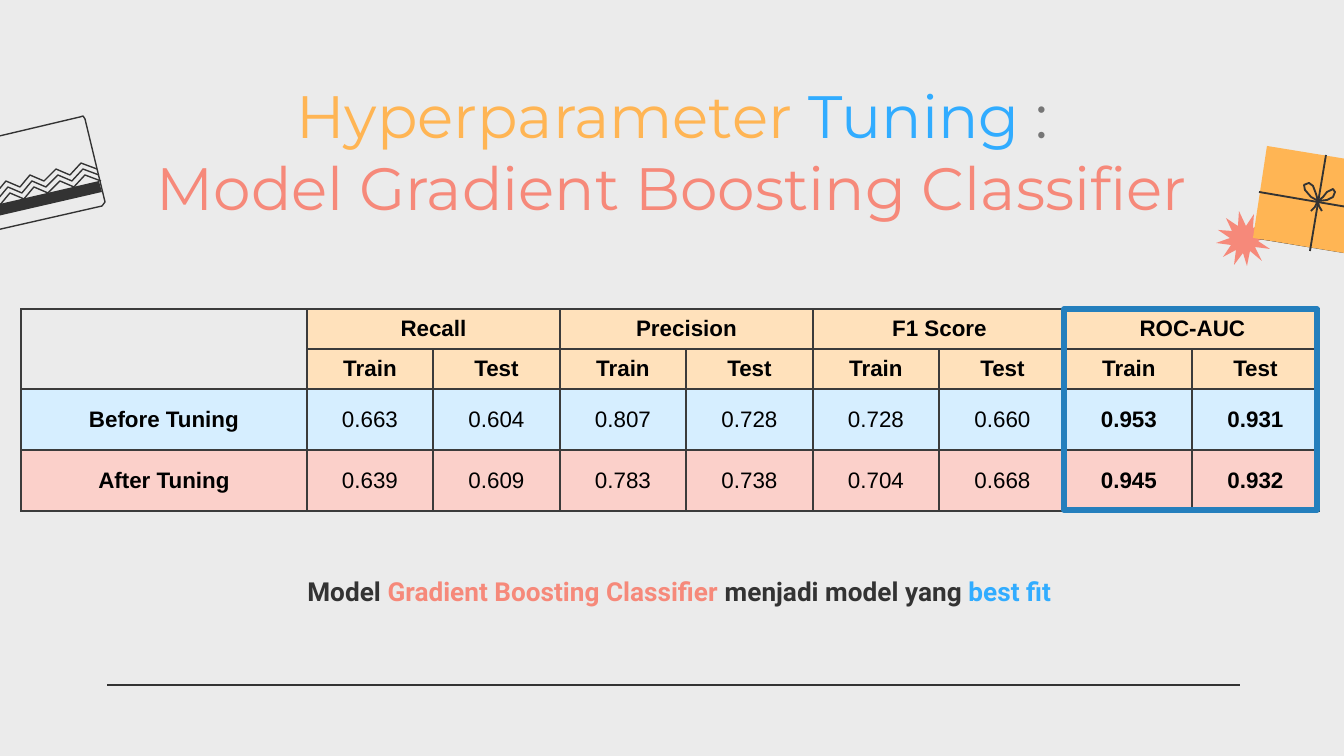
"""Build the hyperparameter tuning slide with its score table."""
from dataclasses import dataclass

from lxml.etree import SubElement
from pptx import Presentation
from pptx.dml.color import RGBColor
from pptx.enum.shapes import MSO_CONNECTOR, MSO_SHAPE
from pptx.enum.text import MSO_ANCHOR, MSO_AUTO_SIZE, PP_ALIGN
from pptx.oxml.ns import qn
from pptx.util import Pt

PX = 914400 / 134.4


@dataclass(frozen=True)
class Theme:
    back: str = "EBEBEB"
    ink: str = "333333"
    black: str = "000000"
    border: str = "3B3B3B"
    grey: str = "767676"
    orange: str = "FFB554"
    blue: str = "31ACFF"
    coral: str = "F6897A"
    frame: str = "247FBD"
    header: str = "FFE1BB"
    before: str = "D6EEFF"
    after: str = "FBD0CA"
    title: int = 32
    body: int = 14
    cell: int = 12


T = Theme()
rgb = RGBColor.from_string


def outline(shapes, points, fill=None, line=None, width=0.75, close=True):
    fb = shapes.build_freeform(*points[0], scale=PX)
    fb.add_line_segments(points[1:], close=close)
    sp = fb.convert_to_shape()
    sp.shadow.inherit = False
    if fill:
        sp.fill.solid()
        sp.fill.fore_color.rgb = rgb(fill)
    else:
        sp.fill.background()
    if line:
        sp.line.color.rgb = rgb(line)
        sp.line.width = Pt(width)
    else:
        sp.line.fill.background()


def connect(shapes, x1, y1, x2, y2, width):
    ends = [round(v * PX) for v in (x1, y1, x2, y2)]
    cn = shapes.add_connector(MSO_CONNECTOR.STRAIGHT, *ends)
    cn.line.color.rgb = rgb(T.ink)
    cn.line.width = Pt(width)
    SubElement(cn._element.spPr, qn("a:effectLst"))


prs = Presentation()
prs.slide_width, prs.slide_height = round(1344 * PX), round(756 * PX)
s = prs.slides.add_slide(prs.slide_layouts[0])
s.background.fill.solid()
s.background.fill.fore_color.rgb = rgb(T.back)

connect(s.shapes, 1240, 685, 107, 685, 0.75)

texts = [
    (s.shapes.title, 66, 85, "Montserrat", T.title, False,
     [("Hyperparameter ", T.orange), ("Tuning ", T.blue), (":", T.grey), None,
      ("Model Gradient Boosting Classifier", T.coral)]),
    (s.placeholders[1], 562, 62, "Roboto", T.body, True,
     [("Model ", T.ink), ("Gradient Boosting Classifier ", T.coral),
      ("menjadi model yang ", T.ink), ("best fit ", T.blue)]),
]
for sp, y, h, face, size, bold, runs in texts:
    sp.left, sp.top, sp.width, sp.height = [round(v * PX) for v in (106, y, 1133, h)]
    tf = sp.text_frame
    tf.word_wrap = True
    tf.auto_size = MSO_AUTO_SIZE.NONE
    tf.vertical_anchor = MSO_ANCHOR.TOP
    tf.margin_left = tf.margin_right = tf.margin_top = tf.margin_bottom = round(13 * PX)
    p = tf.paragraphs[0]
    p.alignment = PP_ALIGN.CENTER
    p.space_before = Pt(0)
    p.font.name, p.font.size, p.font.bold = face, Pt(size), bold
    for run in runs:
        if run is None:
            p.add_line_break()
            continue
        r = p.add_run()
        r.text = run[0]
        r.font.color.rgb = rgb(run[1])
pPr = s.placeholders[1].text_frame.paragraphs[0]._p.get_or_add_pPr()
pPr.set("marL", str(round(67 * PX)))
pPr.set("indent", str(round(-47 * PX)))

metrics = ["Recall", "Precision", "F1 Score", "ROC-AUC"]
rows = [
    [""] + [text for m in metrics for text in (m, "")],
    [""] + ["Train", "Test"] * len(metrics),
    ["Before Tuning", "0.663", "0.604", "0.807", "0.728", "0.728", "0.660", "0.953", "0.931"],
    ["After Tuning", "0.639", "0.609", "0.783", "0.738", "0.704", "0.668", "0.945", "0.932"],
]
fills = [T.header, T.header, T.before, T.after]
widths = [286] + [126, 127] * len(metrics)
heights = [40, 40, 61, 61]
box = [round(v * PX) for v in (21, 309, sum(widths), sum(heights))]
table = s.shapes.add_table(len(rows), len(widths), *box).table
table.first_row = table.horz_banding = False
for col, w in zip(table.columns, widths):
    col.width = round(w * PX)
for row, h in zip(table.rows, heights):
    row.height = round(h * PX)
for i, values in enumerate(rows):
    for j, text in enumerate(values):
        cell = table.cell(i, j)
        tcPr = cell._tc.get_or_add_tcPr()
        for side in ("lnL", "lnR", "lnT", "lnB"):
            ln = SubElement(tcPr, qn(f"a:{side}"), w=str(Pt(1)))
            SubElement(SubElement(ln, qn("a:solidFill")), qn("a:srgbClr"), val=T.border)
        if i < 2 and j == 0:
            cell.fill.background()
        else:
            cell.fill.solid()
            cell.fill.fore_color.rgb = rgb(fills[i])
        cell.vertical_anchor = MSO_ANCHOR.MIDDLE
        cell.text = text
        p = cell.text_frame.paragraphs[0]
        p.alignment = PP_ALIGN.CENTER
        p.font.name, p.font.size = "Arial", Pt(T.cell)
        p.font.bold = i < 2 or j == 0 or j > 6
        p.font.color.rgb = rgb(T.black)
table.cell(0, 0).merge(table.cell(1, 0))
for j in range(1, len(widths), 2):
    table.cell(0, j).merge(table.cell(0, j + 1))

card = s.shapes.add_group_shape().shapes
outline(card, [(80, 117), (83, 116), (85, 119), (105, 202), (102, 206), (-43, 239),
               (-47, 237), (-67, 155), (-64, 151)], line=T.ink)
outline(card, [(-52, 216), (-50, 227), (102, 192), (99, 181)], fill=T.ink)
zigzag = [(-56, 204), (-45, 192), (-30, 198), (-17, 187), (-4, 193), (6, 181), (20, 187),
          (30, 175), (44, 181), (56, 169), (70, 175), (81, 163), (97, 169)]
for k in range(3):
    outline(card, [(x + 2 * k, y + 6 * k) for x, y in zigzag], line=T.ink, close=False)

gift = s.shapes.add_group_shape().shapes
outline(gift, [(1254, 214), (1246, 226), (1239, 211), (1238, 226), (1226, 218), (1232, 231),
               (1218, 230), (1230, 238), (1216, 243), (1231, 245), (1223, 257), (1236, 250),
               (1234, 265), (1243, 253), (1247, 266), (1250, 251), (1262, 261), (1255, 247),
               (1270, 249), (1258, 241), (1271, 235), (1257, 234), (1266, 222), (1253, 228)],
        fill=T.coral)
outline(gift, [(1273, 148), (1258, 239), (1374, 258), (1388, 167)], fill=T.ink)
outline(gift, [(1267, 146), (1253, 238), (1368, 257), (1383, 165)], fill=T.orange)
connect(gift, 1259, 192, 1382, 213, 1)
connect(gift, 1326, 155, 1310, 251, 1)
bow = [
    [(1311, 211), (1315, 207), (1318, 201), (1319, 206), (1322, 211)],
    [(1318, 201), (1323, 197), (1327, 192), (1333, 189), (1335, 192), (1333, 197),
     (1327, 200), (1318, 201)],
    [(1318, 201), (1316, 194), (1313, 186), (1309, 183), (1304, 185), (1305, 190),
     (1311, 197), (1318, 201)],
]
for points in bow:
    outline(gift, points, line=T.ink, width=1, close=False)

frame = s.shapes.add_shape(MSO_SHAPE.RECTANGLE, *[round(v * PX) for v in (1064, 309, 253, 201)])
frame.shadow.inherit = False
frame.fill.background()
frame.line.color.rgb = rgb(T.frame)
frame.line.width = Pt(3)

prs.save("out.pptx")
